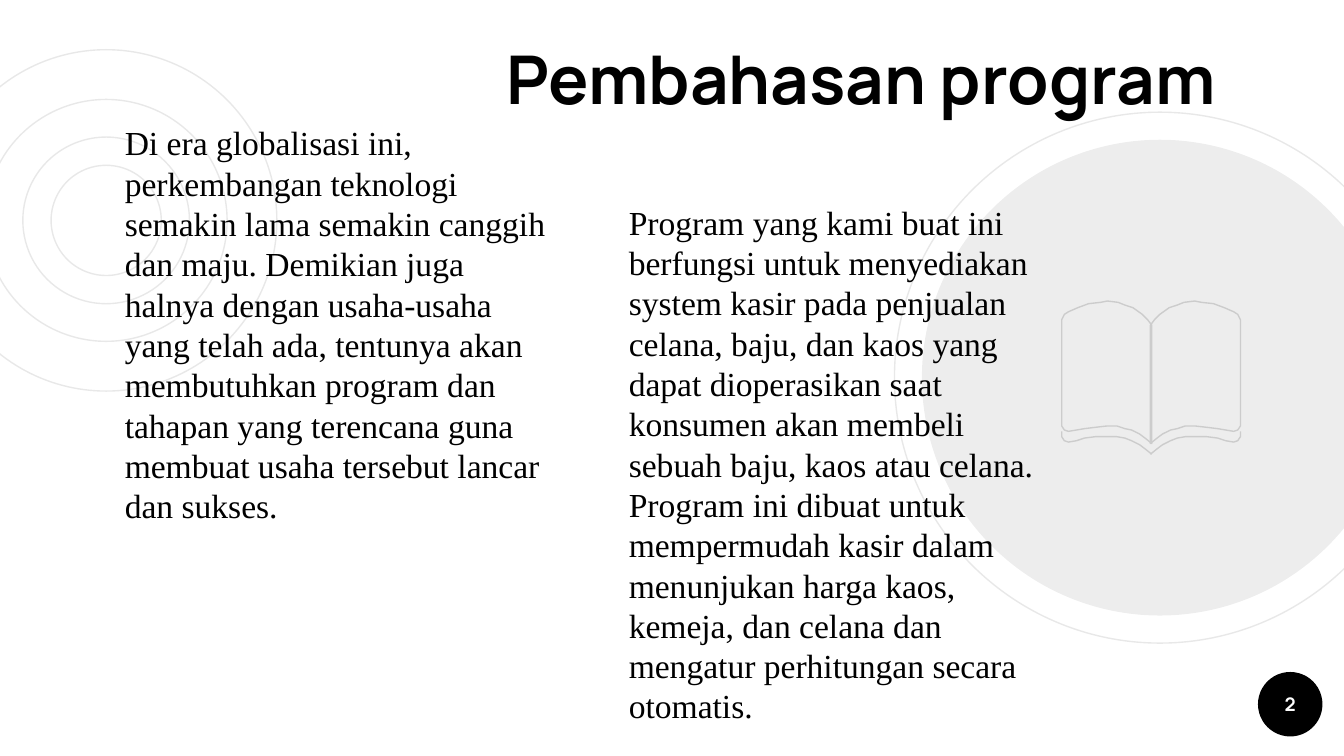
from dataclasses import dataclass
from typing import Optional

import lxml.etree
import pptx
import pptx.dml.color
import pptx.enum.shapes
import pptx.enum.text
import pptx.oxml.ns
import pptx.util

Inches = pptx.util.Inches
Pt = pptx.util.Pt
Align = pptx.enum.text.PP_ALIGN
Anchor = pptx.enum.text.MSO_ANCHOR


@dataclass(frozen=True)
class Theme:
    ink: str = "000000"
    paper: str = "FFFFFF"
    ring: str = "E8E8E8"
    book: str = "CCCCCC"
    heading_font: str = "Manrope"
    body_font: str = "Times New Roman"
    title_size: float = 36
    body_size: float = 18
    body_leading: float = 21.6
    number_size: float = 10
    outline: float = 0.75
    inset: float = 0.1


@dataclass(frozen=True)
class Circle:
    x: float
    y: float
    diameter: float
    fill: Optional[str] = None
    opacity: int = 100


@dataclass(frozen=True)
class TextStyle:
    font: str
    size: float
    color: str
    bold: bool = False
    align: Align = Align.LEFT
    anchor: Anchor = Anchor.TOP
    leading: Optional[float] = None
    indent: float = 0


@dataclass(frozen=True)
class TextBlock:
    left: float
    top: float
    width: float
    height: float
    text: str
    style: TextStyle


THEME = Theme()
TITLE = TextStyle(THEME.heading_font, THEME.title_size, THEME.ink, True, anchor=Anchor.BOTTOM)
BODY = TextStyle(
    THEME.body_font, THEME.body_size, THEME.ink, leading=THEME.body_leading, indent=0.5
)
NUMBER = TextStyle(
    THEME.heading_font, THEME.number_size, THEME.paper, True, Align.CENTER, Anchor.MIDDLE
)

CIRCLES = [Circle(0.79, 1.64, diameter) for diameter in (2.54, 1.8, 1.24, 0.82)] + [
    Circle(9.6, 5.24, 0.48, THEME.ink),
    Circle(8.63, 2.81, 3.95),
    Circle(8.63, 2.81, 3.54, THEME.ink, 7),
]

BLOCKS = [
    TextBlock(3.67, 0.23, 5.5, 0.75, "Pembahasan program", TITLE),
    TextBlock(
        0.33, 0.81, 3.92, 3.92,
        "Di era globalisasi ini, perkembangan teknologi semakin lama semakin canggih dan maju. "
        "Demikian juga halnya dengan usaha-usaha yang telah ada, tentunya akan membutuhkan program "
        "dan tahapan yang terencana guna membuat usaha tersebut lancar dan sukses.",
        BODY,
    ),
    TextBlock(9.36, 5, 0.48, 0.48, "2", NUMBER),
    TextBlock(
        4.08, 1.4, 3.75, 3.83,
        "Program yang kami buat ini berfungsi untuk menyediakan system kasir pada penjualan celana, "
        "baju, dan kaos yang dapat dioperasikan saat konsumen akan membeli sebuah baju, kaos atau "
        "celana. Program ini dibuat untuk mempermudah kasir dalam menunjukan harga kaos, kemeja, "
        "dan celana dan mengatur perhitungan secara otomatis.",
        BODY,
    ),
]

SPINE = 8.57
BOOK_LEFT, BOOK_RIGHT = 7.9, 9.23
COVER_EDGE = [
    (BOOK_LEFT, 3.21), (BOOK_LEFT, 3.25), (7.92, 3.28), (7.95, 3.29), (8.01, 3.28),
    (8.07, 3.26), (8.15, 3.25), (8.24, 3.25), (8.31, 3.25), (8.37, 3.26), (8.42, 3.28),
    (8.48, 3.31), (8.52, 3.34), (SPINE, 3.38),
]
PAGE_OUTLINE = [
    (SPINE, 2.42), (SPINE, 3.3), (8.52, 3.26), (8.48, 3.23), (8.42, 3.2), (8.37, 3.19),
    (8.31, 3.17), (8.24, 3.17), (8.15, 3.18), (8.07, 3.19), (8.01, 3.2), (7.95, 3.21),
    (7.92, 3.2), (BOOK_LEFT, 3.17), (BOOK_LEFT, 2.38), (7.92, 2.34), (7.95, 2.32),
    (8.02, 2.29), (8.1, 2.26), (8.19, 2.25), (8.24, 2.24), (8.32, 2.25), (8.37, 2.27),
    (8.43, 2.29), (8.5, 2.34), (8.54, 2.38),
]


def rgb(color: str) -> pptx.dml.color.RGBColor:
    return pptx.dml.color.RGBColor.from_string(color)


def set_outline(shape, color: str) -> None:
    shape.shadow.inherit = False
    shape.fill.background()
    shape.line.color.rgb = rgb(color)
    shape.line.width = Pt(THEME.outline)


def draw_circle(slide, circle: Circle) -> None:
    radius = circle.diameter / 2
    shape = slide.shapes.add_shape(
        pptx.enum.shapes.MSO_SHAPE.OVAL,
        Inches(circle.x - radius), Inches(circle.y - radius),
        Inches(circle.diameter), Inches(circle.diameter),
    )
    set_outline(shape, THEME.ring)
    if circle.fill:
        shape.line.fill.background()
        shape.fill.solid()
        shape.fill.fore_color.rgb = rgb(circle.fill)
    if circle.opacity < 100:
        color = shape.fill._xPr.find(".//" + pptx.oxml.ns.qn("a:srgbClr"))
        alpha = lxml.etree.SubElement(color, pptx.oxml.ns.qn("a:alpha"))
        alpha.set("val", str(circle.opacity * 1000))


def draw_block(slide, block: TextBlock) -> None:
    box = slide.shapes.add_textbox(
        Inches(block.left), Inches(block.top), Inches(block.width), Inches(block.height)
    )
    style = block.style
    frame = box.text_frame
    frame.text = block.text
    frame.word_wrap = True
    frame.vertical_anchor = style.anchor
    frame.margin_left = frame.margin_right = Inches(THEME.inset)
    frame.margin_top = frame.margin_bottom = Inches(THEME.inset)
    para = frame.paragraphs[0]
    para.alignment = style.align
    if style.leading:
        para.line_spacing = Pt(style.leading)
    if style.indent:
        para._p.get_or_add_pPr().set("marL", str(Inches(style.indent)))
    font = para.runs[0].font
    font.name = style.font
    font.size = Pt(style.size)
    font.bold = style.bold
    font.color.rgb = rgb(style.color)


def draw_outline(slide, points: list[tuple[float, float]], closed: bool) -> None:
    corners = [(Inches(x), Inches(y)) for x, y in points]
    builder = slide.shapes.build_freeform(*corners[0])
    builder.add_line_segments(corners[1:], close=closed)
    set_outline(builder.convert_to_shape(), THEME.book)


def draw_book(slide) -> None:
    for points, closed in ((COVER_EDGE, False), (PAGE_OUTLINE, True)):
        draw_outline(slide, points, closed)
        draw_outline(slide, [(BOOK_LEFT + BOOK_RIGHT - x, y) for x, y in points], closed)


def main() -> None:
    deck = pptx.Presentation()
    deck.slide_width = Inches(10)
    deck.slide_height = deck.slide_width * 9 // 16
    slide = deck.slides.add_slide(deck.slide_layouts[6])
    slide.background.fill.solid()
    slide.background.fill.fore_color.rgb = rgb(THEME.paper)
    for circle in CIRCLES:
        draw_circle(slide, circle)
    draw_book(slide)
    for block in BLOCKS:
        draw_block(slide, block)
    deck.save("out.pptx")


if __name__ == "__main__":
    main()
